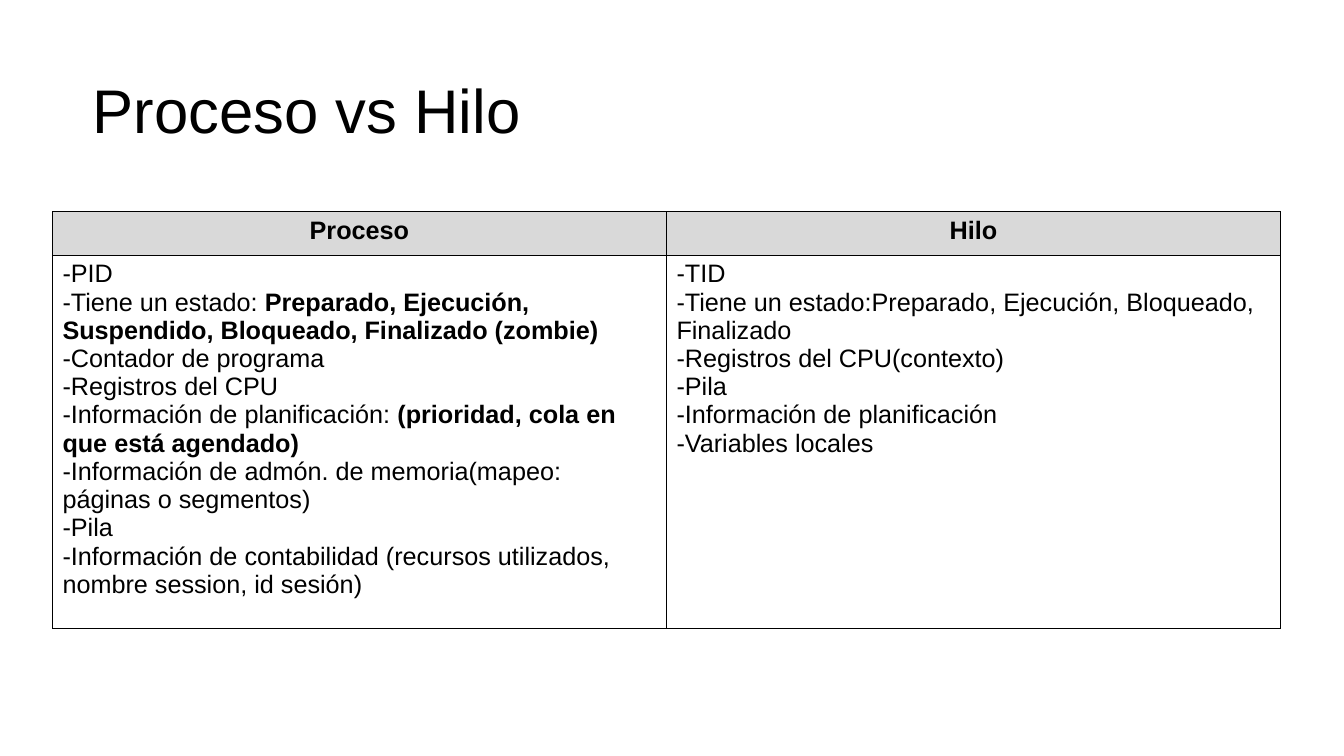
from dataclasses import dataclass

from lxml.etree import SubElement
from pptx import Presentation
from pptx.dml.color import RGBColor
from pptx.enum.text import MSO_ANCHOR as Anchor, PP_ALIGN as Align
from pptx.oxml.ns import qn
from pptx.util import Inches, Pt


@dataclass(frozen=True)
class Theme:
    font: str = "Arial"
    ink: str = "000000"
    header_fill: str = "D9D9D9"
    body_fill: str = "FFFFFF"
    title_size: int = 44
    table_size: int = 18
    border_width: float = 0.5


THEME = Theme()

# Each line is a tuple of runs; every second run is bold.
PROCESS_LINES = [
    ("-PID",),
    ("-Tiene un estado: ",
     "Preparado, Ejecución, Suspendido, Bloqueado, Finalizado (zombie)"),
    ("-Contador de programa",),
    ("-Registros del CPU",),
    ("-Información de planificación: ", "(prioridad, cola en que está agendado)"),
    ("-Información de admón. de memoria(mapeo: páginas o segmentos)",),
    ("-Pila",),
    ("-Información de contabilidad (recursos utilizados, nombre session, id sesión)",),
]
THREAD_LINES = [
    ("-TID",),
    ("-Tiene un estado:Preparado, Ejecución, Bloqueado, Finalizado",),
    ("-Registros del CPU(contexto)",),
    ("-Pila",),
    ("-Información de planificación",),
    ("-Variables locales",),
]
COLUMNS = [("Proceso", PROCESS_LINES), ("Hilo", THREAD_LINES)]


def add_run(paragraph, text, size, bold=False):
    run = paragraph.add_run()
    run.text = text
    run.font.name = THEME.font
    run.font.size = Pt(size)
    run.font.bold = bold
    run.font.color.rgb = RGBColor.from_string(THEME.ink)


def add_title(slide, text, left, top, width, height):
    box = slide.shapes.add_textbox(Inches(left), Inches(top), Inches(width), Inches(height))
    frame = box.text_frame
    frame.word_wrap = True
    frame.vertical_anchor = Anchor.MIDDLE
    frame.margin_left = frame.margin_right = frame.margin_top = frame.margin_bottom = 0
    paragraph = frame.paragraphs[0]
    paragraph.line_spacing = 0.9
    add_run(paragraph, text, THEME.title_size)


def style_cell(cell, fill_color):
    """Outline the cell on all four sides, then fill it."""
    properties = cell._tc.get_or_add_tcPr()
    for side in ("a:lnL", "a:lnR", "a:lnT", "a:lnB"):
        line = SubElement(properties, qn(side), w=str(Pt(THEME.border_width)))
        solid = SubElement(line, qn("a:solidFill"))
        SubElement(solid, qn("a:srgbClr"), val=THEME.ink)
    cell.fill.solid()
    cell.fill.fore_color.rgb = RGBColor.from_string(fill_color)


def fill_body(cell, lines):
    frame = cell.text_frame
    for index, runs in enumerate(lines):
        paragraph = frame.add_paragraph() if index else frame.paragraphs[0]
        for position, text in enumerate(runs):
            add_run(paragraph, text, THEME.table_size, bold=position % 2 == 1)


def add_comparison(slide, columns, left, top, width, header_height, body_height):
    table = slide.shapes.add_table(
        2, len(columns), Inches(left), Inches(top),
        Inches(width), Inches(header_height + body_height)).table
    table.rows[0].height = Inches(header_height)
    table.rows[1].height = Inches(body_height)
    for index, (heading, lines) in enumerate(columns):
        table.columns[index].width = Inches(width / len(columns))
        header, body = table.cell(0, index), table.cell(1, index)
        style_cell(header, THEME.header_fill)
        style_cell(body, THEME.body_fill)
        paragraph = header.text_frame.paragraphs[0]
        paragraph.alignment = Align.CENTER
        add_run(paragraph, heading, THEME.table_size, bold=True)
        fill_body(body, lines)


def main():
    presentation = Presentation()
    presentation.slide_width = Inches(13.33)
    presentation.slide_height = Inches(7.5)
    slide = presentation.slides.add_slide(presentation.slide_layouts[6])
    add_title(slide, "Proceso vs Hilo", 0.92, 0.4, 11.5, 1.45)
    add_comparison(slide, COLUMNS, 0.52, 2.1, 12.18, 0.43, 3.37)
    presentation.save("out.pptx")


if __name__ == "__main__":
    main()
